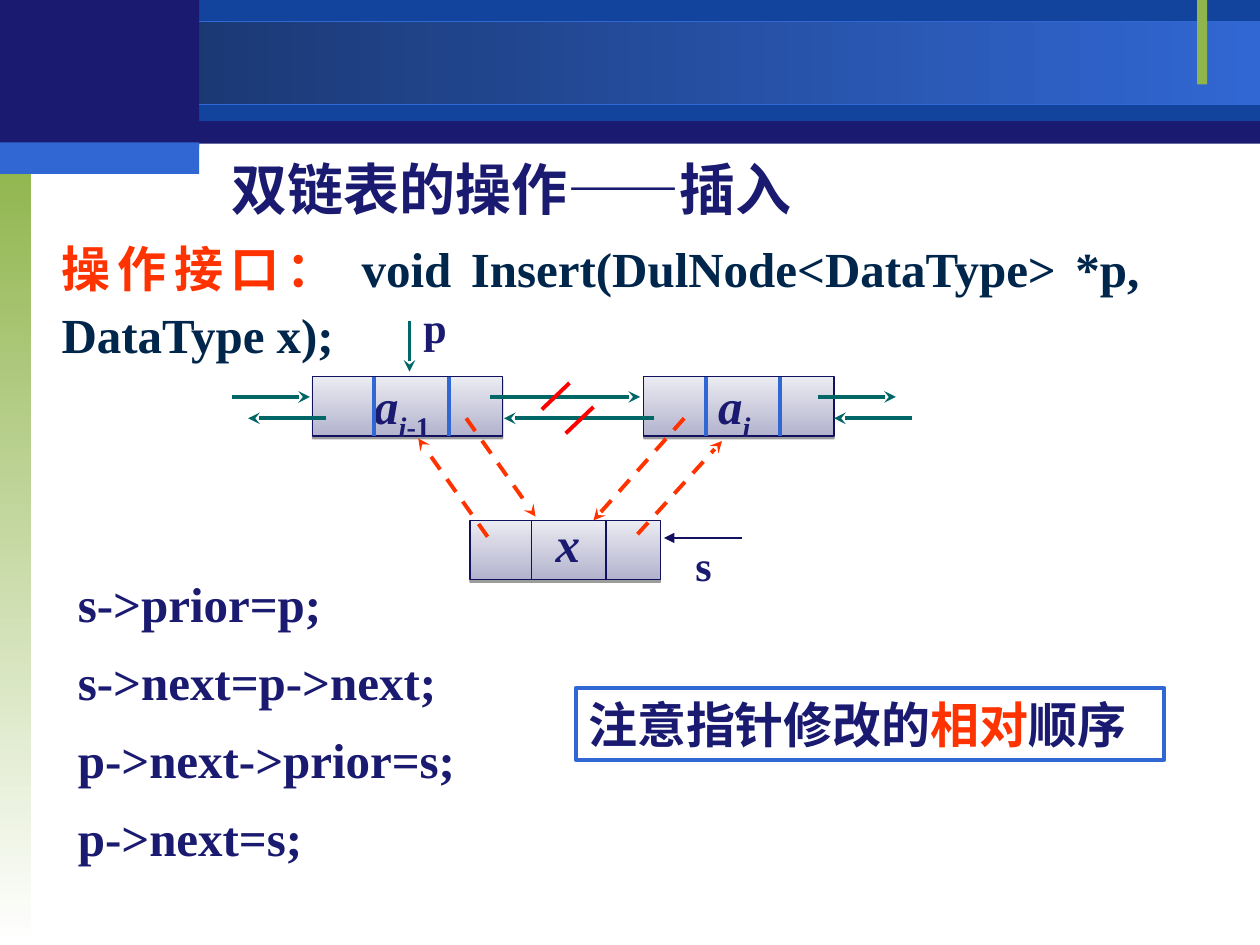
from lxml import etree
from pptx import Presentation
from pptx.dml.color import RGBColor
from pptx.enum.dml import MSO_LINE
from pptx.enum.shapes import MSO_CONNECTOR, MSO_SHAPE
from pptx.enum.text import MSO_ANCHOR, PP_ALIGN
from pptx.oxml import parse_xml
from pptx.oxml.ns import nsdecls, qn
from pptx.util import Inches, Pt

RECTANGLE = MSO_SHAPE.RECTANGLE
STRAIGHT = MSO_CONNECTOR.STRAIGHT
DASH = MSO_LINE.DASH
TOP = MSO_ANCHOR.TOP
LEFT, JUSTIFY = PP_ALIGN.LEFT, PP_ALIGN.JUSTIFY

NAVY, DEEP_BLUE, BLUE = "1A1A70", "12449E", "3167D3"
GREEN, TEAL, INK = "90B54D", "006666", "11115F"
ORANGE, RED, CODE_BLUE = "FF3300", "FF0000", "00264C"
SERIF, SANS = "Times New Roman", "Arial"
NODE_WIDTH, NODE_HEIGHT = 1.51, 0.47
DIVIDERS = (0.49, 1.08)


def color(hex_text):
    return RGBColor.from_string(hex_text)


class SlideBuilder:
    """Holds the text style and the current slide."""

    def __init__(self, slide, text_color=NAVY):
        self.slide = slide
        self.text_color = text_color

    def rectangle(self, left, top, width, height, fill=None, angle=0,
                  line=None, line_width=0.75):
        """Draw a rectangle; a pair of colours as fill makes a gradient."""
        shape = self.slide.shapes.add_shape(
            RECTANGLE, Inches(left), Inches(top), Inches(width), Inches(height))
        shape.shadow.inherit = False
        if fill is None:
            shape.fill.background()
        elif isinstance(fill, tuple):
            shape.fill.gradient()
            shape.fill.gradient_angle = angle
            for stop, stop_color in zip(shape.fill.gradient_stops, fill):
                stop.color.rgb = color(stop_color)
        else:
            shape.fill.solid()
            shape.fill.fore_color.rgb = color(fill)
        if line:
            shape.line.color.rgb = color(line)
            shape.line.width = Pt(line_width)
        else:
            shape.line.fill.background()
        return shape

    def set_text(self, shape, runs, size, font=SERIF, insets=(0.1, 0.05, 0.1, 0.05),
                 align=LEFT, spacing=None):
        """Fill a shape with runs of (text, colour, italic, subscript)."""
        frame = shape.text_frame
        frame.word_wrap = True
        frame.vertical_anchor = TOP
        frame.margin_left, frame.margin_top, frame.margin_right, frame.margin_bottom = (
            Inches(inset) for inset in insets)
        paragraph = frame.paragraphs[0]
        paragraph.alignment = align
        if spacing:
            paragraph.line_spacing = spacing
        for text, text_color, italic, subscript in runs:
            run = paragraph.add_run()
            run.text = text
            run.font.name = font
            run.font.size = Pt(size)
            run.font.bold = True
            run.font.italic = italic
            run.font.color.rgb = color(text_color or self.text_color)
            if subscript:
                run.font._element.set("baseline", "-25000")

    def text(self, left, top, width, height, runs, size, **options):
        box = self.slide.shapes.add_textbox(
            Inches(left), Inches(top), Inches(width), Inches(height))
        self.set_text(box, runs, size, **options)

    def line(self, start, end, line_color, width=2.25, dash=None, arrow=None):
        """Draw a line; an arrow type puts a head at its end."""
        connector = self.slide.shapes.add_connector(
            STRAIGHT, *(Inches(value) for value in (*start, *end)))
        connector.line.color.rgb = color(line_color)
        connector.line.width = Pt(width)
        if dash:
            connector.line.dash_style = dash
        if arrow:
            outline = connector.line._get_or_add_ln()
            etree.SubElement(outline, qn("a:tailEnd"), type=arrow)
        etree.SubElement(connector._element.spPr, qn("a:effectLst"))

    def node(self, left, top, runs, indent, divider_color, divider_width):
        """Draw a list node with three fields and its label."""
        shape = self.rectangle(left, top, NODE_WIDTH, NODE_HEIGHT,
                               fill=("B3B3CE", "EBEBF2"), angle=90, line=INK)
        effects = shape._element.spPr.find(qn("a:effectLst"))
        effects.append(parse_xml(
            f'<a:outerShdw {nsdecls("a")} blurRad="0" dist="{Pt(1.6)}" '
            'dir="5400000" rotWithShape="0"><a:srgbClr val="000000">'
            '<a:alpha val="38000"/></a:srgbClr></a:outerShdw>'))
        self.set_text(shape, runs, 28, insets=(indent, 0, 0, 0.09), spacing=0.9)
        for offset in DIVIDERS:
            self.line((left + offset, top), (left + offset, top + NODE_HEIGHT),
                      divider_color, divider_width)


def main():
    presentation = Presentation()
    presentation.slide_width = Inches(10)
    presentation.slide_height = Inches(7.5)
    slide = presentation.slides.add_slide(presentation.slide_layouts[6])
    builder = SlideBuilder(slide)

    # Header bands and side strip
    builder.rectangle(0, 0.01, 10, 1.13, NAVY)
    builder.rectangle(1.58, 0, 8.42, 0.96, DEEP_BLUE)
    builder.rectangle(0, 0.17, 10, 0.66, ("173062", BLUE), line=BLUE)
    builder.rectangle(0, 1.25, 0.25, 6.25, (GREEN, "FFFFFF"), angle=270)
    builder.rectangle(9.5, 0, 0.08, 0.67, GREEN)
    builder.rectangle(0, 0, 1.58, 1.17, NAVY)
    builder.rectangle(0, 1.13, 1.58, 0.25, BLUE)

    # Title and interface
    builder.text(1.74, 1.18, 4.75, 0.64,
                 [("双链表的操作——插入", None, False, False)], 32, font=SANS)
    builder.text(0.39, 1.79, 8.75, 1.1, [
        ("操作接口： ", ORANGE, False, False),
        ("void Insert(DulNode<DataType> *p, DataType x);", CODE_BLUE, False, False),
    ], 28, align=JUSTIFY, spacing=1.12)

    # Insertion steps
    steps = ("s->prior=p;", "s->next=p->next;", "p->next->prior=s;", "p->next=s;")
    for index, step in enumerate(steps):
        builder.text(0.52, 4.5 + 0.62 * index, 4, 0.57,
                     [(step, None, False, False)], 28)

    # List nodes
    builder.node(2.48, 2.99, [("a", None, True, False), ("i", None, True, True),
                              ("-1", None, False, True)], 0.49, BLUE, 2.25)
    builder.node(5.11, 2.99, [("a", None, True, False), ("i", None, True, True)],
                 0.59, BLUE, 2.25)
    builder.node(3.73, 4.13, [("x", None, True, False)], 0.68, INK, 0.75)

    # Existing links: forward on the upper row, backward on the lower row
    for start, end in ((1.84, 2.46), (3.89, 5.08), (6.49, 7.11)):
        builder.line((start, 3.15), (end, 3.15), TEAL, arrow="stealth")
    for start, end in ((2.59, 1.97), (5.19, 4), (7.24, 6.62)):
        builder.line((start, 3.32), (end, 3.32), TEAL, arrow="stealth")

    # Pointers p and s
    builder.line((3.25, 2.55), (3.25, 2.95), TEAL, arrow="stealth")
    builder.line((5.89, 4.27), (5.27, 4.27), INK, 0.75, arrow="triangle")
    for name, left, top in (("p", 3.36, 2.39), ("s", 5.52, 4.28)):
        builder.text(left, top, 0.27, 0.4, [(name, None, False, False)], 24,
                     insets=(0, 0, 0, 0))

    # New links and the cuts through the old ones
    new_links = (((3.87, 4.26), (3.32, 3.48)), ((5.06, 4.24), (5.73, 3.5)),
                 ((5.43, 3.32), (4.71, 4.13)), ((3.7, 3.32), (4.25, 4.1)))
    for start, end in new_links:
        builder.line(start, end, ORANGE, dash=DASH, arrow="stealth")
    for left, top in ((4.3, 3.04), (4.49, 3.23)):
        builder.line((left + 0.22, top), (left, top + 0.21), RED)

    # Reminder
    reminder = builder.rectangle(4.57, 5.46, 4.67, 0.57, line=BLUE, line_width=2.25)
    builder.set_text(reminder, [("注意指针修改的", None, False, False),
                                ("相对", ORANGE, False, False),
                                ("顺序", None, False, False)], 28, font=SANS)

    presentation.save("out.pptx")


if __name__ == "__main__":
    main()
